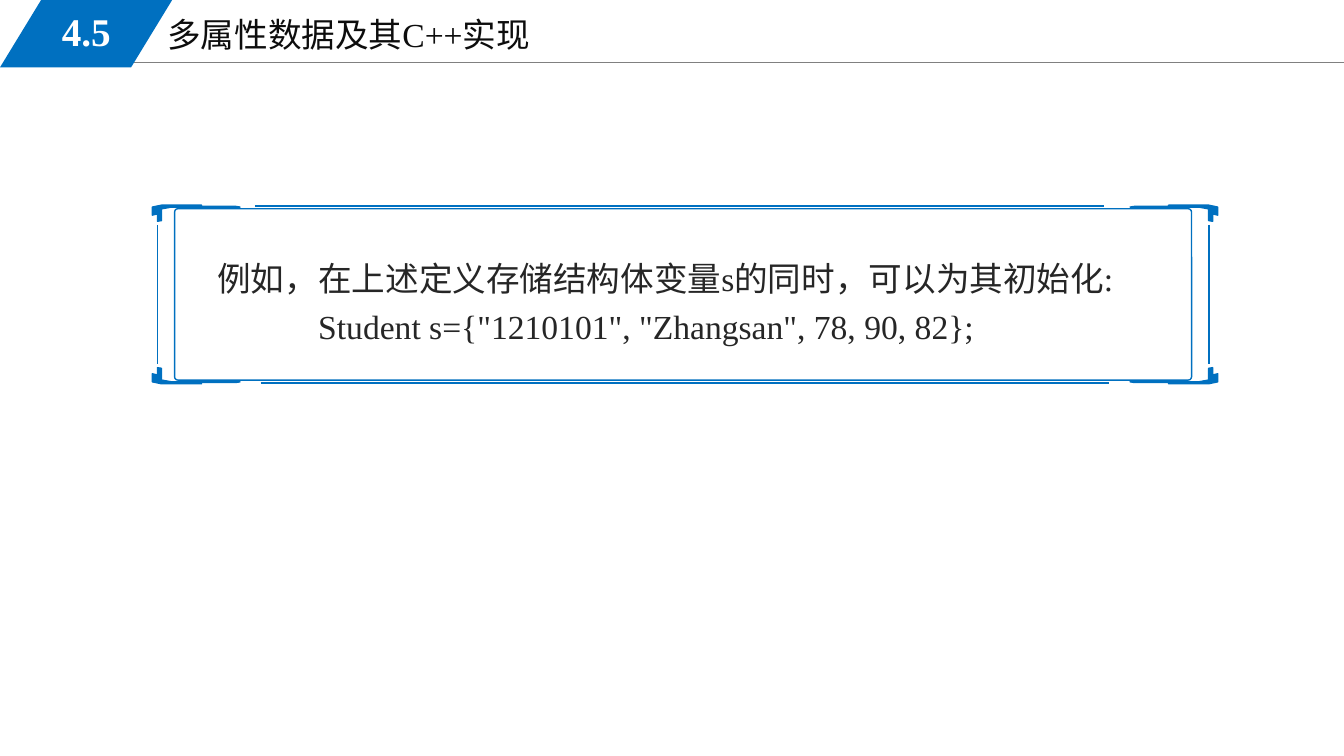
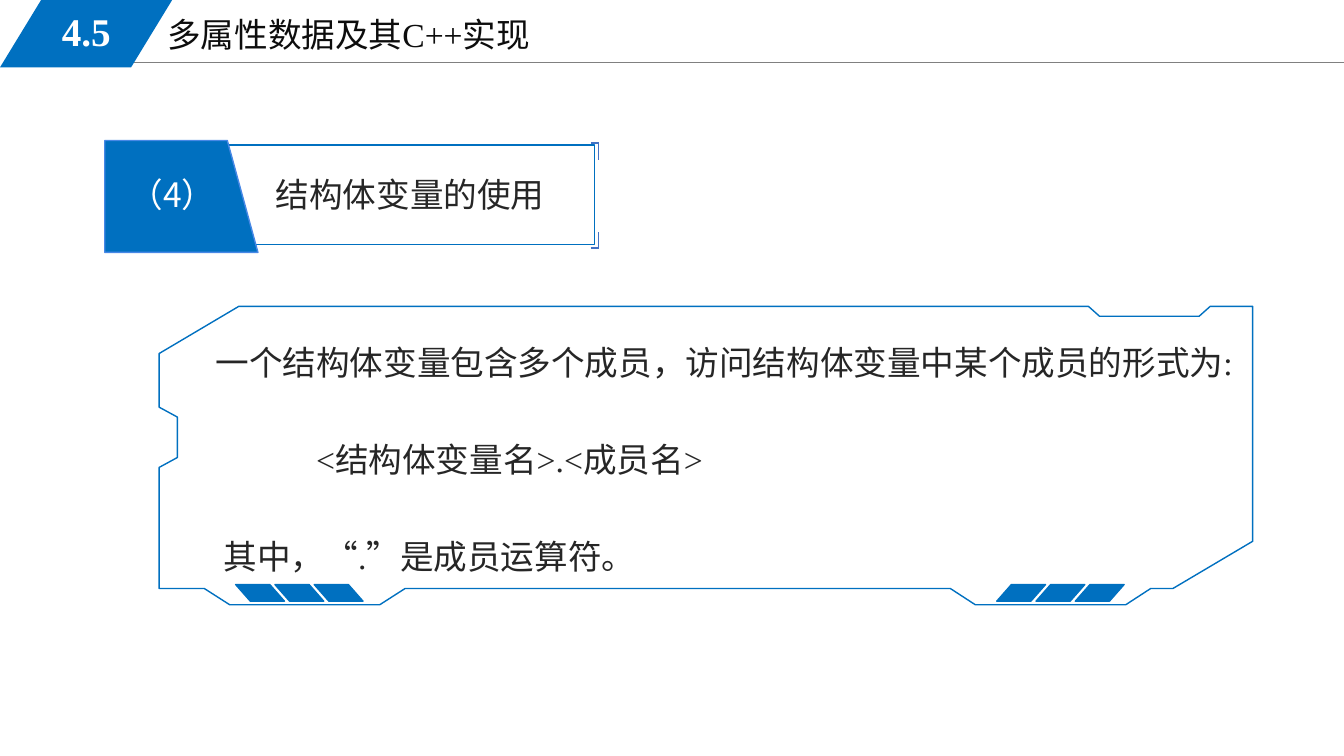
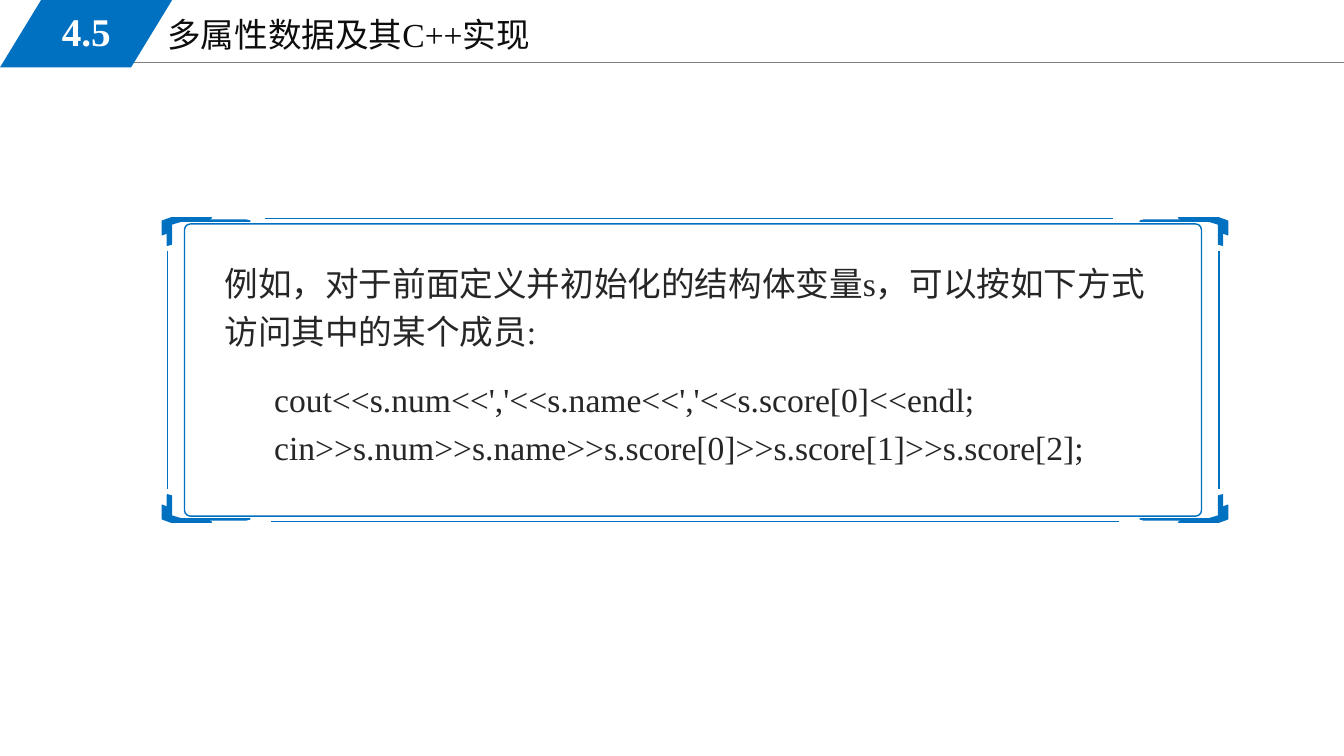
from lxml.etree import SubElement
from pptx import Presentation
from pptx.dml.color import RGBColor
from pptx.enum.shapes import MSO_CONNECTOR, MSO_SHAPE
from pptx.enum.text import MSO_ANCHOR, MSO_AUTO_SIZE, PP_ALIGN
from pptx.oxml.ns import qn
from pptx.util import Cm, Pt

BLUE = "0070C0"
TAG_EDGE = "4788E6"
TICK = "4472C4"
GRAY = "808080"
BLACK = "0D0D0D"
DARK = "262626"
WHITE = "FFFFFF"
LATIN = "Times New Roman"
CHINESE = "Noto Sans CJK SC"
TITLE_ONLY = 5

CORNER = [
    (0.23, 0), (1.24, 0), (1.09, 0.08), (2.11, 0.08), (2.21, 0.12),
    (0.48, 0.12), (0.23, 0.23), (0.23, 0.96), (0.13, 1), (0.13, 0.54),
    (0, 0.62), (0, 0.12),
]
PANEL = [
    (2.01, 0), (23.42, 0), (23.7, 0.25), (26.21, 0.25), (26.49, 0),
    (27.56, 0), (27.56, 5.92), (25.55, 7.11), (24.99, 7.11), (24.36, 7.52),
    (20.57, 7.52), (19.94, 7.11), (6.2, 7.11), (5.56, 7.52), (1.78, 7.52),
    (1.14, 7.11), (0, 7.11), (0, 4.06), (0.46, 3.81), (0.46, 2.79),
    (0, 2.54), (0, 1.19),
]


def rgb(value):
    """Turn a hex string into a colour."""
    return RGBColor.from_string(value)


def paint(shape, fill=None, line=None):
    """Give a shape its fill and outline, without a shadow."""
    shape.shadow.inherit = False
    if fill:
        shape.fill.solid()
        shape.fill.fore_color.rgb = rgb(fill)
    else:
        shape.fill.background()
    if line:
        shape.line.color.rgb = rgb(line)
        shape.line.width = Pt(1)
    else:
        shape.line.fill.background()


def add_preset(slide, kind, box, fill=None, line=None):
    """Add a painted preset shape in a box given in centimetres."""
    shape = slide.shapes.add_shape(kind, *map(Cm, box))
    paint(shape, fill, line)
    return shape


def add_outline(slide, points, fill=None):
    """Add a closed blue outline through points given in centimetres."""
    start, *others = [(Cm(x), Cm(y)) for x, y in points]
    builder = slide.shapes.build_freeform(*start)
    builder.add_line_segments(others, close=True)
    paint(builder.convert_to_shape(), fill, BLUE)


def add_line(slide, ends, color=BLUE, width=1):
    """Add a straight line between two ends given in centimetres."""
    line = slide.shapes.add_connector(MSO_CONNECTOR.STRAIGHT, *map(Cm, ends))
    line.line.color.rgb = rgb(color)
    line.line.width = Pt(width)
    SubElement(line._element.spPr, qn("a:effectLst"))


def add_run(paragraph, text, color, size=24, bold=False, latin=LATIN):
    """Add a run with its Latin and Chinese fonts."""
    run = paragraph.add_run()
    run.text = text
    run.font.size = Pt(size)
    run.font.bold = bold
    run.font.color.rgb = rgb(color)
    run.font.name = latin
    SubElement(run._r.get_or_add_rPr(), qn("a:ea")).set("typeface", CHINESE)


def add_text_frame(slide, box):
    """Add a wrapping text box and return its frame."""
    frame = slide.shapes.add_textbox(*map(Cm, box)).text_frame
    frame.word_wrap = True
    return frame


def add_body(slide, box, lines, gap=0):
    """Add body text from pairs of an indent and a list of runs."""
    frame = add_text_frame(slide, box)
    for index, (indent, runs) in enumerate(lines):
        paragraph = frame.add_paragraph() if index else frame.paragraphs[0]
        paragraph.line_spacing = 1.2
        if index:
            paragraph.space_before = Pt(gap)
        paragraph._p.get_or_add_pPr().set("marL", str(Cm(indent)))
        for text, latin in runs:
            add_run(paragraph, text, DARK, latin=latin)


def add_section_slide(presentation):
    """Add a slide with the section number, title and rule."""
    slide = presentation.slides.add_slide(presentation.slide_layouts[TITLE_ONLY])
    add_line(slide, (2.87, 1.57, 33.87, 1.57), GRAY, 0.75)

    title = slide.shapes.title
    title.left, title.top, title.width, title.height = map(Cm, (3.96, 0.23, 14.4, 1.3))
    frame = title.text_frame
    frame.auto_size = MSO_AUTO_SIZE.NONE
    frame.vertical_anchor = MSO_ANCHOR.TOP
    frame.paragraphs[0].alignment = PP_ALIGN.LEFT
    add_run(frame.paragraphs[0], "多属性数据及其C++实现", BLACK)

    band = add_preset(slide, MSO_SHAPE.PARALLELOGRAM, (0, 0, 4.34, 1.7), BLUE)
    band.adjustments[0] = 0.61
    frame = add_text_frame(slide, (0.64, 0.05, 3.07, 1.47))
    frame.vertical_anchor = MSO_ANCHOR.MIDDLE
    frame.paragraphs[0].alignment = PP_ALIGN.CENTER
    add_run(frame.paragraphs[0], "4.5", WHITE, 28, True)
    return slide


def add_bracket_frame(slide, left, top, width, height):
    """Draw a rounded frame with four brackets and broken edges."""
    right, bottom = left + width, top + height
    corner_height = 0.09 * height
    for x, x_sign in ((left, 1), (right, -1)):
        for y, y_sign in ((top, 1), (bottom, -1)):
            points = [(x + x_sign * dx, y + y_sign * dy * corner_height) for dx, dy in CORNER]
            add_outline(slide, points, BLUE)

    inner = (left + 0.56, top + 0.02 * height, width - 1.22, 0.96 * height)
    add_preset(slide, MSO_SHAPE.ROUNDED_RECTANGLE, inner, line=BLUE).adjustments[0] = 0.02
    for offset, y in ((2.58, top + 0.02), (2.73, bottom - 0.02)):
        add_line(slide, (left + offset, y, left + offset + 21.39, y))
    for x in (left + 0.13, right - 0.22):
        add_line(slide, (x, top + 0.11 * height, x, top + 0.89 * height))


def add_heading_label(slide, left, top, width, height, number, text):
    """Draw a numbered heading with a slanted tag and corner ticks."""
    right, tag_width = left + width, 3.86
    plate = (left, top + 0.11, width - 0.11, height - 0.31)
    add_preset(slide, MSO_SHAPE.RECTANGLE, plate, line=BLUE)

    turn = (tag_width - height) / 2
    tag_box = (left + turn, top - turn, height, tag_width)
    tag = add_preset(slide, MSO_SHAPE.FLOWCHART_MANUAL_INPUT, tag_box, BLUE, TAG_EDGE)
    tag.rotation = 90

    number_frame = add_text_frame(slide, (left + 0.38, top + 0.72, 3.51, 1.27))
    add_run(number_frame.paragraphs[0], number, WHITE, latin=CHINESE)
    text_frame = add_text_frame(slide, (left + 4.06, top + 0.71, 8.66, 1.27))
    add_run(text_frame.paragraphs[0], text, DARK)

    for outer, inner in ((0.06, 0.5), (height - 0.11, height - 0.52)):
        add_line(slide, (right - 0.2, top + outer, right, top + outer), TICK)
        add_line(slide, (right, top + outer, right, top + inner), TICK)


def add_notched_panel(slide, left, top):
    """Draw a notched panel with three slanted bars at each foot."""
    add_outline(slide, [(left + x, top + y) for x, y in PANEL])
    for start, flipped in ((1.93, True), (21.11, False)):
        for index in range(3):
            box = (left + start + 0.99 * index, top + 7.01, 1.23, 0.42)
            bar = add_preset(slide, MSO_SHAPE.PARALLELOGRAM, box, BLUE, BLUE)
            bar.adjustments[0] = 0.88
            if flipped:
                bar._element.spPr.xfrm.set("flipH", "1")


def build_initialisation(presentation):
    """Build the slide on initialising a structure variable."""
    slide = add_section_slide(presentation)
    left, top = 3.84, 5.17
    add_bracket_frame(slide, left, top, 26.85, 4.5)
    add_body(slide, (left + 1.39, top + 1, 23.9, 3.84), [
        (0, [("例如，在上述定义存储结构体变量s的同时，可以为其初始化:", LATIN)]),
        (2.54, [('Student s={"1210101", "Zhangsan", 78, 90, 82};', LATIN)]),
    ])


def build_usage(presentation):
    """Build the slide on using a structure variable."""
    slide = add_section_slide(presentation)
    add_heading_label(slide, 2.64, 3.54, 12.45, 2.82, "（4）", "结构体变量的使用")
    left, top = 4.01, 7.72
    add_notched_panel(slide, left, top)
    add_body(slide, (left + 1.17, top + 0.56, 28.2, 6.45), [
        (0, [("一个结构体变量包含多个成员，访问结构体变量中某个成员的形式为:", LATIN)]),
        (2.54, [("<结构体变量名>.<成员名>", LATIN)]),
        (0.21, [("其中，“.", LATIN), ("”", CHINESE), ("是成员运算符。", LATIN)]),
    ], gap=35)


def build_access(presentation):
    """Build the slide on reading and writing members."""
    slide = add_section_slide(presentation)
    left, top = 4.09, 5.49
    add_bracket_frame(slide, left, top, 26.85, 7.67)
    add_body(slide, (left + 1.32, top + 0.81, 23.9, 3.18), [
        (0, [("例如，对于前面定义并初始化的结构体变量s，可以按如下方式访问其中的某个成员:", LATIN)]),
    ])
    add_body(slide, (left + 2.57, top + 3.73, 23.9, 3.07), [
        (0, [("cout<<s.num<<','<<s.name<<','<<s.score[0]<<endl;", LATIN)]),
        (0, [("cin>>s.num>>s.name>>s.score[0]>>s.score[1]>>s.score[2];", LATIN)]),
    ])


def main():
    """Build and save the presentation."""
    presentation = Presentation()
    presentation.slide_width, presentation.slide_height = Cm(33.87), Cm(19.05)
    for build in (build_initialisation, build_usage, build_access):
        build(presentation)
    presentation.save("out.pptx")


if __name__ == "__main__":
    main()
